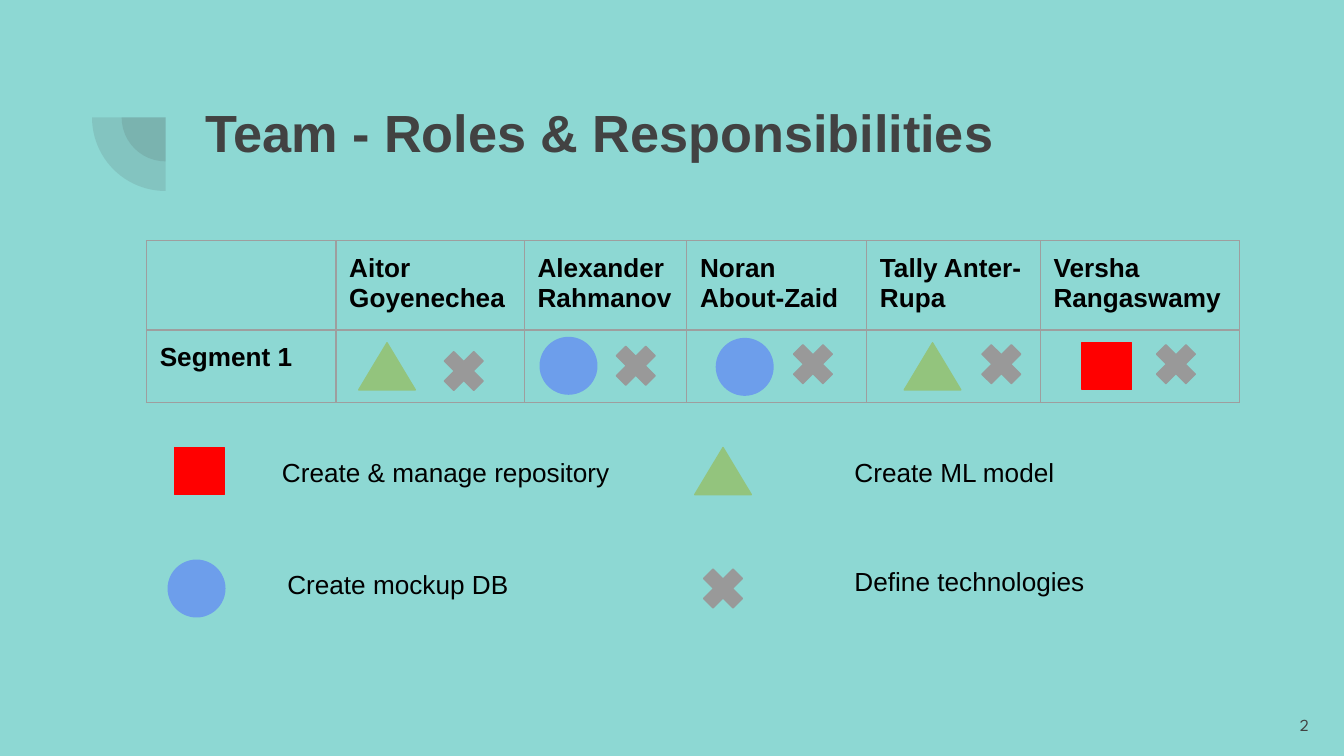
import pptx
import pptx.util
import pptx.dml.color
import pptx.enum.shapes
import pptx.enum.text
import pptx.oxml
import pptx.oxml.ns

Cm, Pt = pptx.util.Cm, pptx.util.Pt
RGBColor = pptx.dml.color.RGBColor
SHAPE = pptx.enum.shapes.MSO_SHAPE
ALIGN = pptx.enum.text.PP_ALIGN
ANCHOR = pptx.enum.text.MSO_ANCHOR

TEAL = RGBColor(0x8D, 0xD8, 0xD3)
CHARCOAL = RGBColor(0x42, 0x42, 0x42)
BLACK = RGBColor(0, 0, 0)
RED = RGBColor(0xFF, 0, 0)
BLUE = RGBColor(0x6D, 0x9E, 0xEB)
GREEN = RGBColor(0x93, 0xC4, 0x7D)
GREY = RGBColor(0x99, 0x99, 0x99)
BORDER = RGBColor(0x9E, 0x9E, 0x9E)

# Task symbols: preset, colour, width, height in cm
SYMBOLS = {
    "repository": (SHAPE.RECTANGLE, RED, 0.94, 0.89),
    "database": (SHAPE.OVAL, BLUE, 1.07, 1.07),
    "model": (SHAPE.ISOSCELES_TRIANGLE, GREEN, 1.07, 0.89),
    "technologies": (SHAPE.MATH_MULTIPLY, GREY, 1.07, 1.07),
}


class SlideBuilder:
    font = "Arial"
    size = 14
    inset = 0.25

    def __init__(self, slide):
        self.slide = slide

    def fill_text(self, frame, text, align=ALIGN.LEFT, **changes):
        para = frame.paragraphs[0]
        para.alignment = align
        span = para.add_run()
        span.text = text
        style = {"name": self.font, "size": self.size, "color": BLACK, "bold": False}
        style.update(changes)
        span.font.color.rgb = style.pop("color")
        style["size"] = Pt(style["size"])
        for name, value in style.items():
            setattr(span.font, name, value)

    def text(self, text, left, top, width, height, anchor=ANCHOR.TOP, **style):
        box = self.slide.shapes.add_textbox(Cm(left), Cm(top), Cm(width), Cm(height))
        layout = {"word_wrap": True, "vertical_anchor": anchor}
        for side in ("left", "right", "top", "bottom"):
            layout["margin_" + side] = Cm(self.inset)
        for name, value in layout.items():
            setattr(box.text_frame, name, value)
        self.fill_text(box.text_frame, text, **style)

    def shape(self, preset, color, left, top, width, height):
        shape = self.slide.shapes.add_shape(preset, Cm(left), Cm(top), Cm(width), Cm(height))
        shape.shadow.inherit = False
        shape.fill.solid()
        shape.fill.fore_color.rgb = color
        shape.line.color.rgb = color
        shape.line.width = Pt(0.75)
        return shape

    def symbol(self, task, left, top):
        preset, color, width, height = SYMBOLS[task]
        self.shape(preset, color, left, top, width, height)

    def quarter(self, center_x, center_y, radius, opacity):
        pie = self.shape(SHAPE.PIE, CHARCOAL, center_x - radius, center_y - radius,
                         2 * radius, 2 * radius)
        pie.adjustments[0], pie.adjustments[1] = 108, 162
        pie.rotation = 270
        pie.line.fill.background()
        color = pie.element.spPr.find(".//" + pptx.oxml.ns.qn("a:srgbClr"))
        alpha = pptx.oxml.parse_xml(
            f'<a:alpha {pptx.oxml.ns.nsdecls("a")} val="{opacity * 1000}"/>')
        color.append(alpha)

    def border(self, cell):
        properties = cell._tc.get_or_add_tcPr()
        for side in "LRTB":
            properties.append(pptx.oxml.parse_xml(
                f'<a:ln{side} {pptx.oxml.ns.nsdecls("a")} w="{Pt(0.75)}">'
                f'<a:solidFill><a:srgbClr val="{BORDER}"/></a:solidFill></a:ln{side}>'))

    def table(self, rows, left, top, widths, heights):
        table = self.slide.shapes.add_table(
            len(rows), len(widths), Cm(left), Cm(top),
            Cm(sum(widths)), Cm(sum(heights))).table
        table.first_row = table.horz_banding = False
        for column, width in zip(table.columns, widths):
            column.width = Cm(width)
        for row, height, texts in zip(table.rows, heights, rows):
            row.height = Cm(height)
            for cell, text in zip(row.cells, texts):
                for side in ("left", "right", "top", "bottom"):
                    setattr(cell, "margin_" + side, Cm(self.inset))
                self.border(cell)
                cell.fill.background()
                if text:
                    self.fill_text(cell.text_frame, text, bold=True)


def main():
    deck = pptx.Presentation()
    deck.slide_width, deck.slide_height = Cm(25.4), Cm(14.29)
    page = SlideBuilder(deck.slides.add_slide(deck.slide_layouts[6]))
    background = page.slide.background.fill
    background.solid()
    background.fore_color.rgb = TEAL

    # Corner ornament and title
    for radius in (0.83, 1.39):
        page.quarter(3.13, 2.22, radius, 13)
    page.text("Team - Roles & Responsibilities", 3.63, 1.65, 19.53, 2.77,
              size=28, color=CHARCOAL, bold=True)

    # Team table
    members = ["Aitor Goyenechea", "Alexander Rahmanov", "Noran About-Zaid",
               "Tally Anter-Rupa", "Versha Rangaswamy"]
    page.table([[""] + members, ["Segment 1"] + [""] * len(members)], 2.77, 4.55,
               [3.58, 3.56, 3.07, 3.4, 3.28, 3.76], [1.63, 1.37])

    # Each member's own task, then the shared one
    for task, left, top, shared_left, shared_top in (
            ("model", 6.78, 6.48, 8.23, 6.48),
            ("database", 10.21, 6.38, 11.48, 6.38),
            ("database", 13.54, 6.4, 14.83, 6.35),
            ("model", 17.09, 6.48, 18.39, 6.35),
            ("repository", 20.45, 6.48, 21.69, 6.35)):
        page.symbol(task, left, top)
        page.symbol("technologies", shared_left, shared_top)

    # Legend
    for task, left, top, label, label_left, label_top, width in (
            ("repository", 3.3, 8.46, "Create & manage repository", 5.08, 8.38, 7.87),
            ("model", 13.13, 8.46, "Create ML model", 15.9, 8.38, 4.7),
            ("database", 3.18, 10.59, "Create mockup DB", 5.18, 10.49, 4.7),
            ("technologies", 13.13, 10.59, "Define technologies", 15.9, 10.44, 5.05)):
        page.symbol(task, left, top)
        page.text(label, label_left, label_top, width, 1.12)

    # Page number
    page.text("2", 23.47, 13.16, 1.52, 1.09, anchor=ANCHOR.MIDDLE, align=ALIGN.RIGHT,
              name="League Spartan", size=9, color=CHARCOAL)

    deck.save("out.pptx")


if __name__ == "__main__":
    main()
